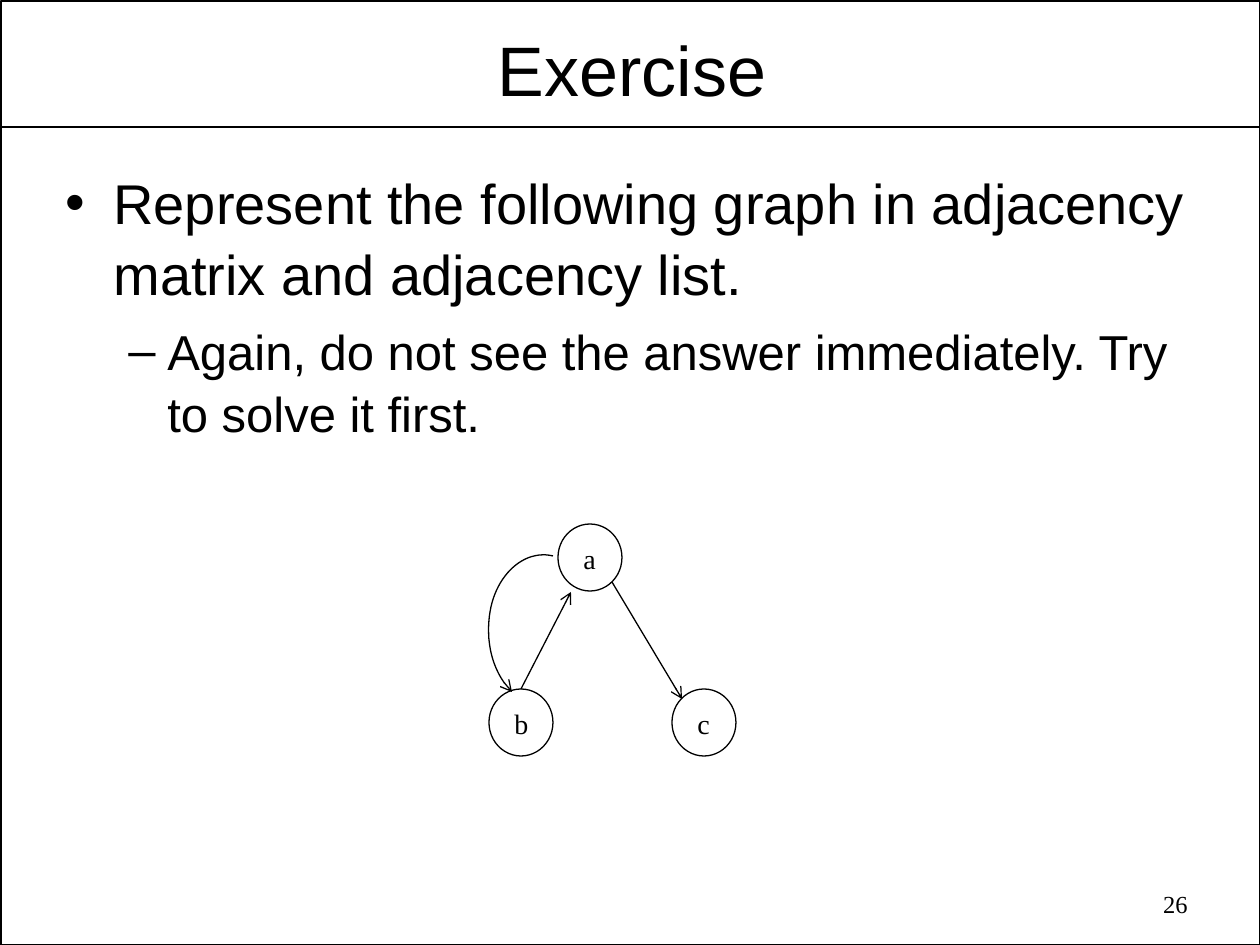
"""Build the graph representation exercise slide."""
from lxml import etree
from pptx import Presentation
from pptx import util as u
from pptx.dml.color import RGBColor
from pptx.enum import shapes, text
from pptx.oxml.ns import qn

THEME = {
    "ink": RGBColor(0, 0, 0),
    "sans": "Arial",
    "serif": "Times New Roman",
    "title": 40,
    "bullet": 32,
    "subbullet": 28,
    "label": 16,
    "number": 14,
    "frame": 1,
    "edge": 0.75,
}
SCALE = 914400 / 126
CURVE_STEPS = 24


def px(*values):
    return [u.Emu(round(value * SCALE)) for value in values]


def write_text(frame, content, size, font="sans", align=text.PP_ALIGN.LEFT, new=False,
               bullet=None, level=0, margin=0, hang=0, before=0, spacing=None):
    paragraph = frame.add_paragraph() if new else frame.paragraphs[0]
    paragraph.alignment = align
    paragraph.level = level
    paragraph.space_before = u.Pt(before)
    if spacing:
        paragraph.line_spacing = spacing
    run = paragraph.add_run()
    run.text = content
    run.font.size = u.Pt(THEME[size])
    run.font.name = THEME[font]
    run.font.color.rgb = THEME["ink"]
    if bullet:
        properties = run.font.fill and paragraph._p.get_or_add_pPr()
        indent, first = px(margin, -hang)
        properties.set("marL", str(indent))
        properties.set("indent", str(first))
        etree.SubElement(properties, qn("a:buFont"), typeface=THEME[font])
        etree.SubElement(properties, qn("a:buChar"), char=bullet)


presentation = Presentation()
presentation.slide_width, presentation.slide_height = px(1260, 945)
slide = presentation.slides.add_slide(presentation.slide_layouts[6])

outlines = [(shapes.MSO_SHAPE.RECTANGLE, (1, 1, 1259, 944), "frame")]
nodes = {"a": (558, 524), "b": (489, 689), "c": (672, 689)}
for left, top in nodes.values():
    outlines.append((shapes.MSO_SHAPE.OVAL, (left, top, 64, 67), "edge"))
for kind, place, width in outlines:
    shape = slide.shapes.add_shape(kind, *px(*place))
    shape.shadow.inherit = False
    shape.fill.background()
    shape.line.color.rgb = THEME["ink"]
    shape.line.width = u.Pt(THEME[width])

title = slide.shapes.add_textbox(*px(67, 24, 1130, 91)).text_frame
title.word_wrap = True
title.vertical_anchor = text.MSO_ANCHOR.BOTTOM
title.margin_left, title.margin_right, title.margin_top, title.margin_bottom = px(9, 9, 4, 4)
write_text(title, "Exercise", "title", align=text.PP_ALIGN.CENTER)

body = slide.shapes.add_textbox(*px(53, 159, 1155, 294)).text_frame
body.word_wrap = True
write_text(body, "Represent the following graph in adjacency matrix and adjacency list.",
           "bullet", bullet="•", margin=48, hang=48, before=8, spacing=1.05)
write_text(body, "Again, do not see the answer immediately. Try to solve it first.",
           "subbullet", new=True, bullet="–", level=1, margin=102, hang=39,
           before=7, spacing=1.05)

number = slide.shapes.add_textbox(*px(905, 883, 295, 45)).text_frame
number.word_wrap = True
write_text(number, "26", "number", font="serif", align=text.PP_ALIGN.RIGHT)

for name, (left, top) in nodes.items():
    label = slide.shapes.add_textbox(*px(left + 13, top + 11, 38, 47)).text_frame
    label.word_wrap = False
    write_text(label, name, "label", font="serif")

lines = [
    ((1, 127, 1259, 127), "frame", False),
    ((521, 689, 571, 592), "edge", True),
    ((612, 582, 682, 699), "edge", True),
]
strokes = []
for ends, width, pointed in lines:
    connector = slide.shapes.add_connector(shapes.MSO_CONNECTOR.STRAIGHT, *px(*ends))
    strokes.append((connector, width, pointed))

curves = [
    ((553, 556), (524, 549), (496, 575), (490, 612)),
    ((490, 612), (485, 643), (493, 673), (512, 692)),
]
points = []
for curve in curves:
    for step in range(1, CURVE_STEPS + 1):
        t = step / CURVE_STEPS
        weights = ((1 - t) ** 3, 3 * t * (1 - t) ** 2, 3 * t * t * (1 - t), t ** 3)
        x, y = (sum(w * value for w, value in zip(weights, axis)) for axis in zip(*curve))
        points.append(px(x, y))
builder = slide.shapes.build_freeform(*px(*curves[0][0]))
builder.add_line_segments(points, close=False)
arc = builder.convert_to_shape()
arc.fill.background()
strokes.append((arc, "edge", True))

for stroke, width, pointed in strokes:
    stroke.line.color.rgb = THEME["ink"]
    stroke.line.width = u.Pt(THEME[width])
    properties = stroke.element.spPr
    if pointed:
        etree.SubElement(properties.find(qn("a:ln")), qn("a:tailEnd"), type="arrow")
    etree.SubElement(properties, qn("a:effectLst"))

presentation.save("out.pptx")
